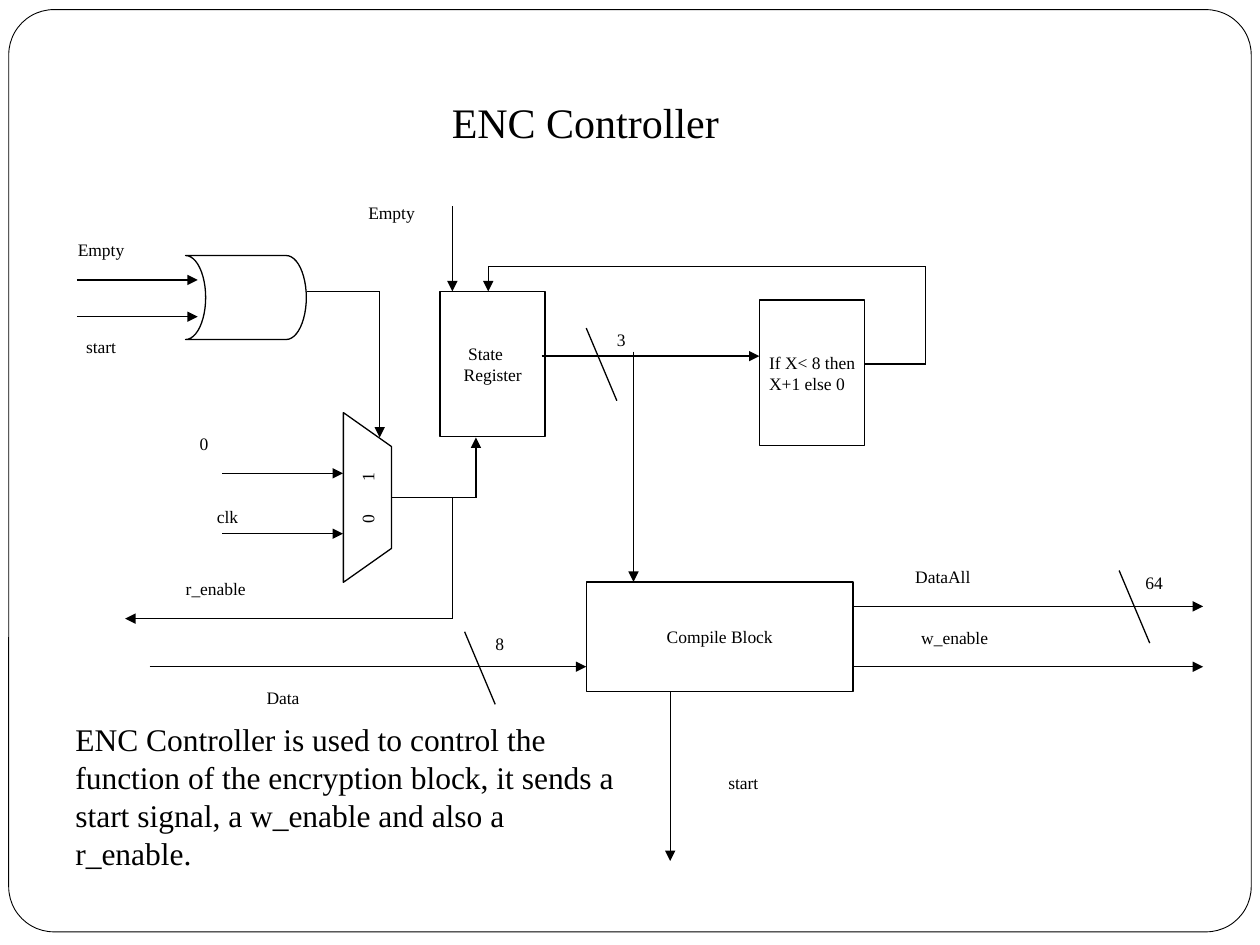
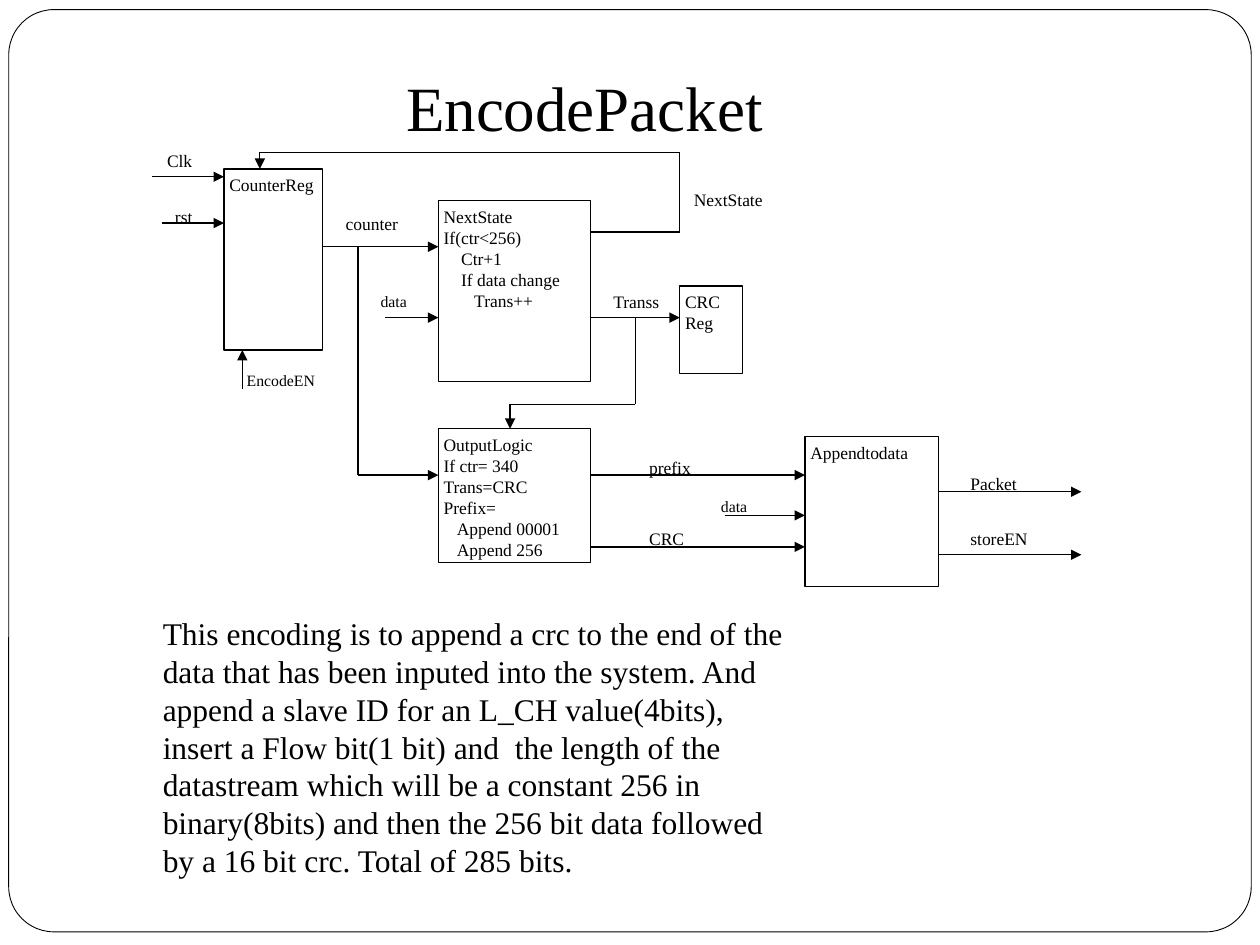
from itertools import pairwise

from lxml.etree import SubElement
from pptx import Presentation
from pptx.dml.color import RGBColor
from pptx.enum.shapes import MSO_CONNECTOR as Connector, MSO_SHAPE as Shape
from pptx.enum.text import MSO_ANCHOR as Anchor, PP_ALIGN as Align
from pptx.oxml.ns import qn
from pptx.util import Pt

COLORS = {"ink": "000000", "paper": "FFFFFF"}
FONT = "Times New Roman"
INSET = 3


def rgb(name):
    return RGBColor.from_string(COLORS[name])


def write(holder, text, size=10, align=Align.LEFT, anchor=Anchor.TOP,
          left=INSET, top=INSET, indents=(), first_indent=0, tab=None):
    frame = holder.text_frame
    frame.word_wrap = True
    frame.vertical_anchor = anchor
    frame.margin_left, frame.margin_top = Pt(left), Pt(top)
    frame.margin_right = frame.margin_bottom = Pt(INSET)
    for index, line in enumerate(text.split("\n")):
        paragraph = frame.paragraphs[0] if index == 0 else frame.add_paragraph()
        properties = paragraph._p.get_or_add_pPr()
        if indents:
            properties.set("marL", str(Pt(indents[index])))
        if first_indent:
            properties.set("indent", str(Pt(first_indent)))
        if tab:
            stops = SubElement(properties, qn("a:tabLst"))
            SubElement(stops, qn("a:tab"), pos=str(Pt(tab)), algn="l")
        paragraph.text = line
        paragraph.alignment = align
        paragraph.font.name = FONT
        paragraph.font.size = Pt(size)
        paragraph.font.color.rgb = rgb("ink")


def label(slide, text, x, y, width, height, **style):
    write(slide.shapes.add_textbox(Pt(x), Pt(y), Pt(width), Pt(height)), text, **style)


def signal(slide, text, x, y, width=55.5, height=21):
    label(slide, text, x, y, width, height, align=Align.CENTER, anchor=Anchor.MIDDLE)


def block(slide, x, y, width, height, text="", kind=Shape.RECTANGLE,
          rotation=0, weight=0.75, **style):
    outline = slide.shapes.add_shape(kind, Pt(x), Pt(y), Pt(width), Pt(height))
    outline.shadow.inherit = False
    outline.fill.background()
    outline.line.color.rgb = rgb("ink")
    outline.line.width = Pt(weight)
    outline.rotation = rotation
    if text:
        write(outline, text, **style)
    return outline


def wire(slide, *points, arrow=True):
    for (x1, y1), (x2, y2) in pairwise(points):
        segment = slide.shapes.add_connector(
            Connector.STRAIGHT, Pt(x1), Pt(y1), Pt(x2), Pt(y2))
        segment.line.color.rgb = rgb("ink")
        segment.line.width = Pt(0.75)
        SubElement(segment._element.spPr, qn("a:effectLst"))
    if arrow:
        SubElement(segment.line._get_or_add_ln(), qn("a:tailEnd"), type="triangle")


def bus_width(slide, bits, x, y):
    wire(slide, (x, y), (x + 17.5, y + 41.5), arrow=False)
    signal(slide, bits, x + 5.5, y - 7, 29, 27.5)


def framed_slide(deck):
    slide = deck.slides.add_slide(deck.slide_layouts[6])
    frame = block(slide, 5, 5.5, 710, 527, kind=Shape.ROUNDED_RECTANGLE, weight=0.5)
    frame.adjustments[0] = 0.049
    frame.fill.solid()
    frame.fill.fore_color.rgb = rgb("paper")
    return slide


def enc_controller(deck):
    slide = framed_slide(deck)
    label(slide, "ENC Controller", 161.5, 42, 346, 55.5, size=24,
          align=Align.CENTER, anchor=Anchor.MIDDLE)

    block(slide, 106, 146, 69, 48, kind=Shape.FLOWCHART_STORED_DATA, rotation=180)
    block(slide, 161.5, 270.5, 97, 27.5, "0\t1", Shape.FLOWCHART_MANUAL_OPERATION,
          rotation=270, anchor=Anchor.MIDDLE, left=14, tab=24)
    block(slide, 251.5, 166.5, 60, 83, "State Register",
          anchor=Anchor.MIDDLE, left=13.5, first_indent=2.5)
    block(slide, 434, 171.5, 60, 83, "If X< 8 then X+1 else 0",
          anchor=Anchor.MIDDLE, left=5.5)
    block(slide, 335, 332.5, 152.5, 62.5, "Compile Block",
          align=Align.CENTER, anchor=Anchor.MIDDLE)

    for y in (160, 181):
        wire(slide, (44, y), (113, y))
    for y in (270.5, 305):
        wire(slide, (127, y), (196, y))
    for y in (346.5, 381):
        wire(slide, (487, y), (687.5, y))
    wire(slide, (175.5, 166.5), (217, 166.5), (217, 250))
    wire(slide, (224, 284.5), (272, 284.5), (272, 250))
    wire(slide, (309.5, 203.5), (434, 203.5))
    wire(slide, (494, 208), (529, 208), (529, 152.5), (279, 152.5), (279, 166.5))
    wire(slide, (258.5, 118), (258.5, 166.5))
    wire(slide, (258.5, 284.5), (258.5, 353.5), (71.5, 353.5))
    wire(slide, (362, 201), (362, 332.5))
    wire(slide, (85.5, 381), (335, 381))
    wire(slide, (383, 395), (383, 492))

    signal(slide, "Empty", 30, 132)
    signal(slide, "start", 30, 187.5)
    signal(slide, "0", 106, 243, 21)
    signal(slide, "clk", 106, 284.5, 48)
    signal(slide, "Empty", 196, 111)
    signal(slide, "start", 397, 436.5)
    signal(slide, "DataAll", 507.5, 319, 62.5)
    signal(slide, "w_enable", 507.5, 353.5, 76)
    signal(slide, "Data", 134, 388)
    signal(slide, "r_enable", 92, 326, 62.5)
    bus_width(slide, "64", 639.5, 326)
    bus_width(slide, "8", 265.5, 361)
    bus_width(slide, "3", 335, 187.5)

    label(slide, "ENC Controller is used to control the function of the encryption block, "
          "it sends a start signal, a w_enable and also a r_enable.",
          36, 408, 324, 94, size=18, left=7.2, top=3.6)


def encode_packet(deck):
    slide = framed_slide(deck)
    label(slide, "EncodePacket", 204, 36, 260, 48, size=36, align=Align.CENTER)

    block(slide, 128, 96.5, 56.5, 103.5, "CounterReg")
    block(slide, 250.5, 114.5, 87, 103.5,
          "NextState\nIf(ctr<256)\nCtr+1\nIf data change\nTrans++",
          indents=(0, 0, 10, 10, 17.5))
    block(slide, 388.5, 163.5, 36, 50, "CRC\nReg")
    block(slide, 250.5, 245, 87, 76.5,
          "OutputLogic\nIf ctr= 340\nTrans=CRC\nPrefix=\nAppend 00001\nAppend 256",
          indents=(0, 0, 0, 0, 7.5, 7.5))
    block(slide, 460, 249.5, 76.5, 85.5, "Appendtodata")

    wire(slide, (87, 101), (128, 101))
    wire(slide, (92.5, 127.5), (128, 127.5))
    wire(slide, (138.5, 222.5), (138.5, 200))
    wire(slide, (184.5, 141), (250.5, 141))
    wire(slide, (204.5, 141), (204.5, 271.5), (250.5, 271.5))
    wire(slide, (220, 181.5), (250.5, 181.5))
    wire(slide, (337.5, 181.5), (388.5, 181.5))
    wire(slide, (363, 181.5), (363, 231), (291.5, 231), (291.5, 245))
    wire(slide, (337.5, 132.5), (388.5, 132.5), (388.5, 87), (148.5, 87), (148.5, 96.5))
    wire(slide, (414, 294.5), (460, 294.5))
    for y in (271.5, 312.5):
        wire(slide, (337.5, y), (460, y))
    for y in (281, 317):
        wire(slide, (536.5, y), (618, y))

    for name, x, y, width, size in (
        ("Clk", 92.5, 83, 25, 10),
        ("rst", 97, 114.5, 20, 10),
        ("EncodeEN", 138, 209, 56, 9),
        ("counter", 194.5, 119, 41, 10),
        ("data", 214.5, 163.5, 31, 9),
        ("Transs", 347.5, 163.5, 36, 10),
        ("NextState", 393.5, 105, 56, 10),
        ("prefix", 368, 258, 36, 10),
        ("data", 409, 281, 31, 9),
        ("CRC", 368, 299, 36, 10),
        ("Packet", 551.5, 267.5, 41, 10),
        ("storeEN", 551.5, 299, 51, 10),
    ):
        label(slide, name, x, y, width, 16, size=size)

    label(slide, "This encoding is to append a crc to the end of the data that has been "
          "inputed into the system. And append a slave ID for an L_CH value(4bits), "
          "insert a Flow bit(1 bit) and  the length of the datastream which will be "
          "a constant 256 in binary(8bits) and then the 256 bit data followed by "
          "a 16 bit crc. Total of 285 bits.", 90, 348, 367, 158, size=18)


def main():
    deck = Presentation()
    deck.slide_width, deck.slide_height = Pt(720), Pt(540)
    enc_controller(deck)
    encode_packet(deck)
    deck.save("out.pptx")


if __name__ == "__main__":
    main()
